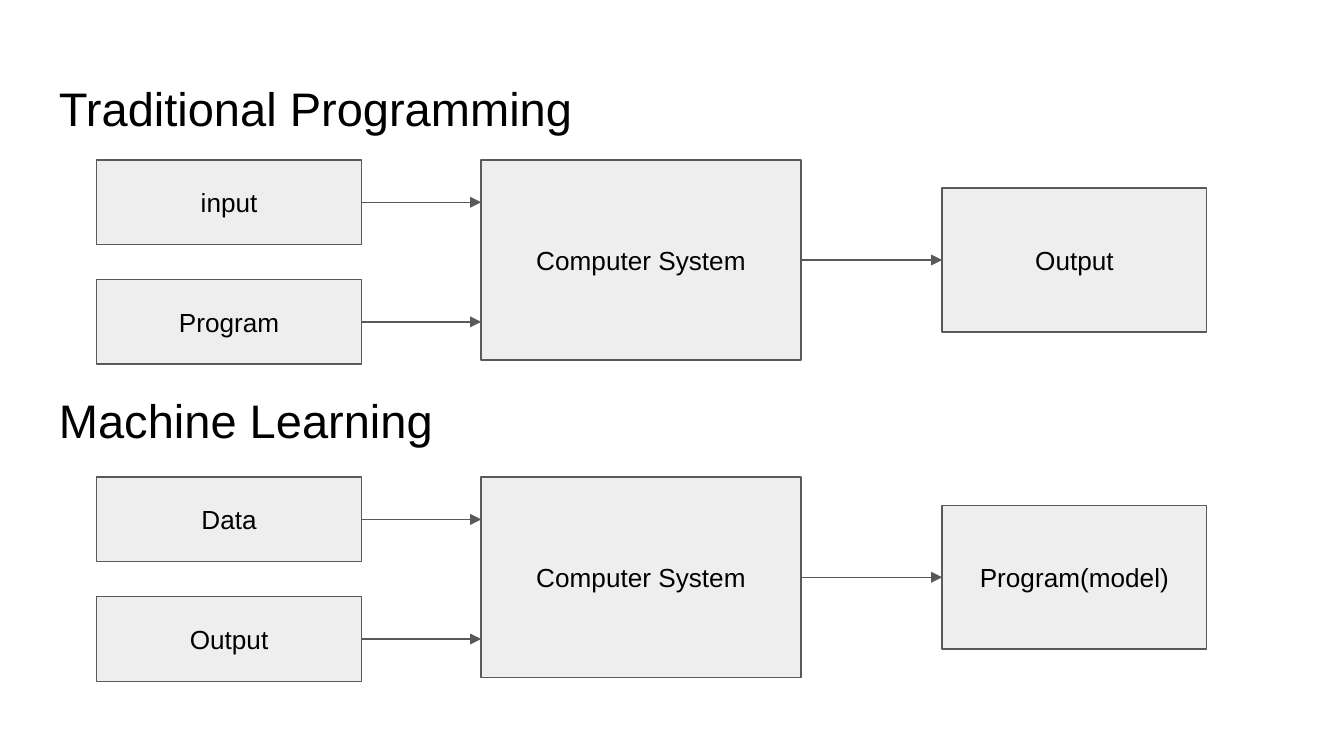
from lxml import etree
from pptx import Presentation
from pptx.dml.color import RGBColor
from pptx.enum.shapes import MSO_CONNECTOR, MSO_SHAPE
from pptx.enum.text import MSO_ANCHOR, PP_ALIGN
from pptx.oxml.ns import qn
from pptx.util import Inches, Pt

STRAIGHT = MSO_CONNECTOR.STRAIGHT
RECTANGLE = MSO_SHAPE.RECTANGLE
MIDDLE = MSO_ANCHOR.MIDDLE
LEFT, CENTER = PP_ALIGN.LEFT, PP_ALIGN.CENTER

BLACK = RGBColor(0x00, 0x00, 0x00)
WHITE = RGBColor(0xFF, 0xFF, 0xFF)
LIGHT_GRAY = RGBColor(0xEE, 0xEE, 0xEE)
DARK_GRAY = RGBColor(0x59, 0x59, 0x59)

LEFT_SIDE, RIGHT_SIDE = 1, 3
LINE_WIDTH = Pt(0.75)

# Section geometry in inches, relative to the section's left edge and flow top
SECTION_LEFT, SECTION_WIDTH = 0.34, 9.32
HEADING_HEIGHT = 0.63
SOURCE_LEFT, SOURCE_WIDTH, SOURCE_HEIGHT = 0.38, 1.97, 0.63
SOURCE_PITCH = 0.89
SYSTEM_LEFT, SYSTEM_WIDTH, SYSTEM_HEIGHT = 3.24, 2.38, 1.49
RESULT_LEFT, RESULT_WIDTH, RESULT_HEIGHT = 6.67, 1.97, 1.07


def set_text(shape, text, size, align):
    frame = shape.text_frame
    frame.text = text
    frame.word_wrap = True
    frame.vertical_anchor = MIDDLE
    frame.margin_left = frame.margin_right = Inches(0.1)
    frame.margin_top = frame.margin_bottom = Inches(0.1)
    paragraph = frame.paragraphs[0]
    paragraph.alignment = align
    font = paragraph.runs[0].font
    font.name = "Arial"
    font.size = Pt(size)
    font.color.rgb = BLACK


def add_box(slide, text, left, top, width, height):
    box = slide.shapes.add_shape(
        RECTANGLE, Inches(left), Inches(top), Inches(width), Inches(height))
    box.shadow.inherit = False
    box.fill.solid()
    box.fill.fore_color.rgb = LIGHT_GRAY
    box.line.color.rgb = DARK_GRAY
    box.line.width = LINE_WIDTH
    set_text(box, text, 14, CENTER)
    return box


def add_arrow(slide, start, end):
    """Draw a level arrow from the right side of start to the left side of end."""
    y = start.top + start.height // 2
    arrow = slide.shapes.add_connector(
        STRAIGHT, start.left + start.width, y, end.left, y)
    arrow.line.color.rgb = DARK_GRAY
    arrow.line.width = LINE_WIDTH
    line = arrow._element.spPr.find(qn("a:ln"))
    etree.SubElement(line, qn("a:tailEnd"), type="triangle")
    etree.SubElement(arrow._element.spPr, qn("a:effectLst"))
    arrow.begin_connect(start, RIGHT_SIDE)
    return arrow


def add_section(slide, left, top, flow_offset, heading, sources, system, result):
    # Heading
    title = slide.shapes.add_textbox(
        Inches(left), Inches(top), Inches(SECTION_WIDTH), Inches(HEADING_HEIGHT))
    set_text(title, heading, 25.2, LEFT)

    # Computer system and its result, centred on the same line
    flow_top = top + flow_offset
    system_box = add_box(slide, system, left + SYSTEM_LEFT, flow_top,
                         SYSTEM_WIDTH, SYSTEM_HEIGHT)
    result_top = flow_top + (SYSTEM_HEIGHT - RESULT_HEIGHT) / 2
    result_box = add_box(slide, result, left + RESULT_LEFT, result_top,
                         RESULT_WIDTH, RESULT_HEIGHT)

    # Sources that feed the system
    for row, source in enumerate(sources):
        source_box = add_box(slide, source, left + SOURCE_LEFT,
                             flow_top + row * SOURCE_PITCH,
                             SOURCE_WIDTH, SOURCE_HEIGHT)
        add_arrow(slide, source_box, system_box)

    result_arrow = add_arrow(slide, system_box, result_box)
    result_arrow.end_connect(result_box, LEFT_SIDE)


def main():
    presentation = Presentation()
    # Widescreen, 16:9
    presentation.slide_width = Inches(10)
    presentation.slide_height = Inches(10) * 9 // 16
    slide = presentation.slides.add_slide(presentation.slide_layouts[6])
    slide.background.fill.solid()
    slide.background.fill.fore_color.rgb = WHITE

    add_section(slide, SECTION_LEFT, 0.49, 0.7, "Traditional Programming",
                ["input", "Program"], "Computer System", "Output")
    add_section(slide, SECTION_LEFT, 2.81, 0.74, "Machine Learning",
                ["Data", "Output"], "Computer System", "Program(model)")

    presentation.save("out.pptx")


if __name__ == "__main__":
    main()
